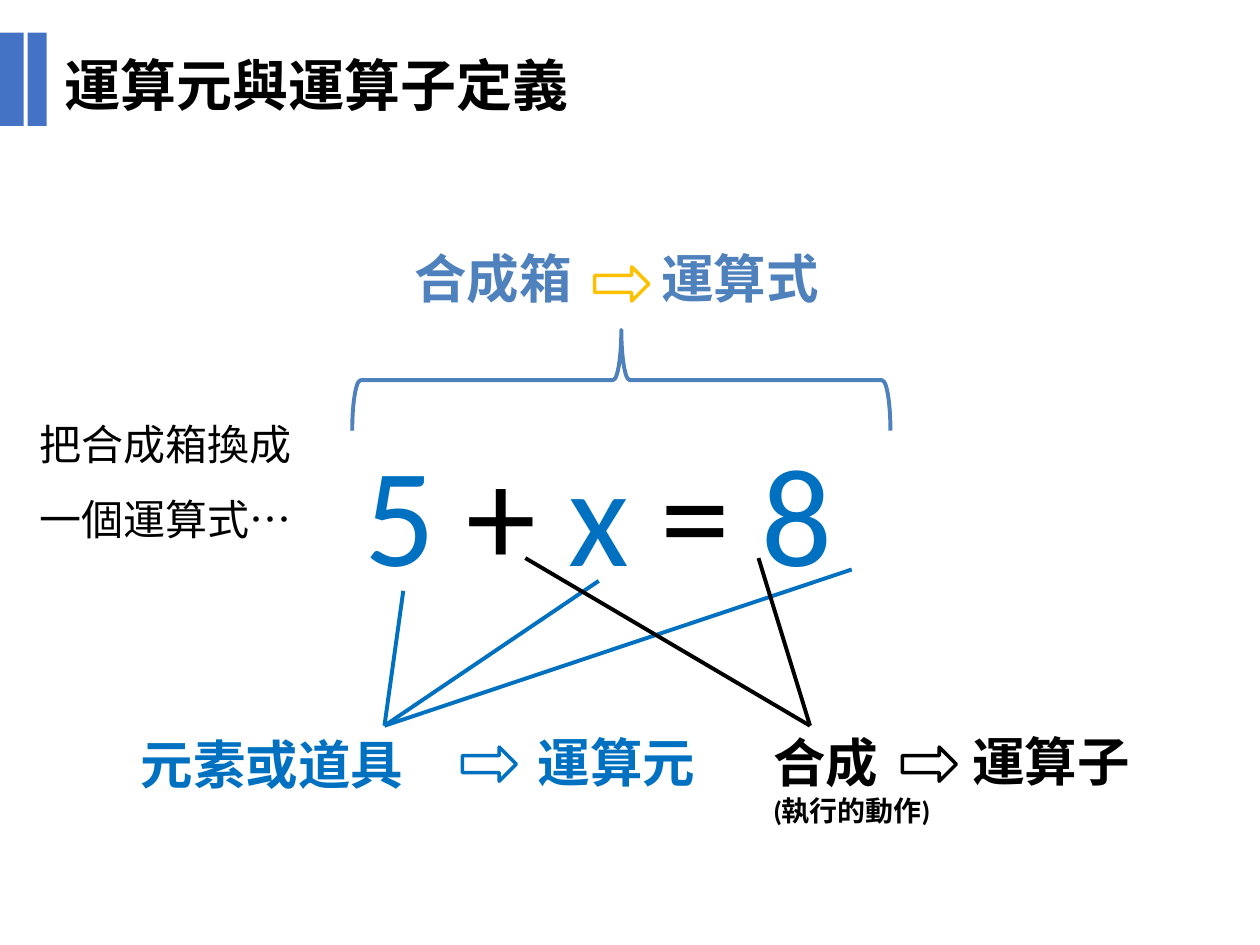
from dataclasses import dataclass
from typing import Any

from pptx import Presentation
from pptx import util as u
from pptx.dml import color
from pptx.enum import shapes, text
from pptx.oxml import xmlchemy as xml

BLUE, STEEL, BLACK, GOLD, BAR = "0070C0", "4F81BD", "000000", "FFC000", "4472C4"


@dataclass(frozen=True)
class Span:
    wording: str
    size: float = 30
    colour: str = BLUE
    bold: bool = True
    font: str = "Calibri"


@dataclass(frozen=True)
class Label:
    left: float
    top: float
    width: float
    height: float
    paras: tuple[tuple[Span, ...], ...]
    wrap: bool = False


@dataclass(frozen=True)
class Figure:
    kind: Any
    left: float
    top: float
    width: float
    height: float
    line: str | None = None
    weight: float = 2
    fill: str | None = None
    rotation: float = 0


@dataclass(frozen=True)
class Fan:
    colour: str
    tip: tuple[float, float]
    starts: tuple[tuple[float, float], ...]


def rgb(value: str) -> color.RGBColor:
    return color.RGBColor.from_string(value)


def apply(target: Any, values: dict[str, Any]) -> None:
    for name, value in values.items():
        setattr(target, name, value)


def write_spans(para: Any, spans: tuple[Span, ...]) -> None:
    for item in spans:
        span = para.add_run()
        span.text = item.wording
        apply(span.font, {"name": item.font, "size": u.Pt(item.size), "bold": item.bold})
        span.font.color.rgb = rgb(item.colour)


def add_label(page: Any, label: Label) -> Any:
    box = page.shapes.add_textbox(
        u.Cm(label.left), u.Cm(label.top), u.Cm(label.width), u.Cm(label.height))
    frame = box.text_frame
    frame.word_wrap = label.wrap
    for index, spans in enumerate(label.paras):
        para = frame.add_paragraph() if index else frame.paragraphs[0]
        write_spans(para, spans)
    return box


def add_figure(page: Any, figure: Figure) -> None:
    shape = page.shapes.add_shape(
        figure.kind, u.Cm(figure.left), u.Cm(figure.top), u.Cm(figure.width), u.Cm(figure.height))
    shape.shadow.inherit = False
    shape.rotation = figure.rotation
    if figure.fill:
        shape.fill.solid()
        shape.fill.fore_color.rgb = rgb(figure.fill)
    else:
        shape.fill.background()
    if figure.line:
        shape.line.color.rgb = rgb(figure.line)
        shape.line.width = u.Pt(figure.weight)
    else:
        shape.line.fill.background()


def add_fan(page: Any, fan: Fan) -> None:
    for start in fan.starts:
        line = page.shapes.add_connector(
            shapes.MSO_CONNECTOR.STRAIGHT, *(u.Cm(value) for value in (*start, *fan.tip)))
        line.line.color.rgb = rgb(fan.colour)
        line.line.width = u.Pt(2.25)
        line._element.spPr.append(xml.OxmlElement("a:effectLst"))


def set_title(page: Any) -> None:
    title = page.shapes.title
    apply(title, {"left": u.Cm(1.04), "top": u.Cm(0.89),
                  "width": u.Cm(13.56), "height": u.Cm(1.63)})
    apply(title.text_frame, {"word_wrap": True, "auto_size": text.MSO_AUTO_SIZE.NONE,
                             "vertical_anchor": text.MSO_ANCHOR.TOP})
    para = title.text_frame.paragraphs[0]
    para.alignment = text.PP_ALIGN.LEFT
    write_spans(para, (Span("運算元與運算子定義", 32, BLACK, font="Arial"),))


def term(left: float, top: float, wording: str, colour: str, width: float = 3.71) -> Label:
    return Label(left, top, width, 1.55, ((Span(wording, colour=colour),),))


def arrow(left: float, top: float, colour: str) -> Figure:
    return Figure(shapes.MSO_SHAPE.RIGHT_ARROW, left, top, 1.09, 0.69, colour)


def bar(left: float, width: float) -> Figure:
    return Figure(shapes.MSO_SHAPE.RECTANGLE, left, 0.66, width, 1.88, fill=BAR)


FIGURES = (
    Figure(shapes.MSO_SHAPE.LEFT_BRACE, 11.51, 2.24, 2.03, 10.85, STEEL, 2.25, rotation=90),
    arrow(11.99, 5.38, GOLD),
    arrow(9.32, 15.06, BLUE),
    arrow(18.19, 15.06, BLACK),
    bar(0, 0.48),
    bar(0.56, 0.38),
)
FANS = (
    Fan(BLUE, (7.75, 14.63), ((8.13, 11.91), (17.17, 11.48), (12.07, 11.71))),
    Fan(BLACK, (16.33, 14.63), ((15.29, 11.25), (10.59, 11.25))),
)
EQUATION = tuple(
    Span(wording, 80, colour, False)
    for wording, colour in (("5", BLUE), (" + ", BLACK), ("x ", BLUE), ("= ", BLACK), ("8", BLUE)))
LABELS = (
    term(8.1, 4.83, "合成箱", STEEL),
    term(13.08, 4.83, "運算式", STEEL),
    term(2.59, 14.63, "元素或道具", BLUE, 5.87),
    term(10.59, 14.6, "運算元", BLUE),
    term(19.35, 14.58, "運算子", BLACK),
    Label(15.34, 14.6, 3.71, 2.24,
          ((Span("合成", colour=BLACK),), (Span("(執行的動作)", 16, BLACK),)), True),
    Label(7.09, 8.48, 10.06, 3.68, (EQUATION,)),
)
PROMPT = Label(0.33, 7.67, 6.02, 4.55,
               ((Span("把合成箱換成一個運算式…", 24, BLACK, False),),), True)


def main() -> None:
    deck = Presentation()
    apply(deck, {"slide_width": u.Cm(25.4), "slide_height": u.Cm(19.05)})
    page = deck.slides.add_slide(deck.slide_layouts[5])
    set_title(page)
    for figure in FIGURES:
        add_figure(page, figure)
    for fan in FANS:
        add_fan(page, fan)
    for label in LABELS:
        add_label(page, label)
    frame = add_label(page, PROMPT).text_frame
    apply(frame, {"margin_top": u.Cm(0.25), "margin_bottom": u.Cm(0.25)})
    apply(frame.paragraphs[0], {"alignment": text.PP_ALIGN.CENTER, "line_spacing": 1.5})
    deck.save("out.pptx")


if __name__ == "__main__":
    main()
